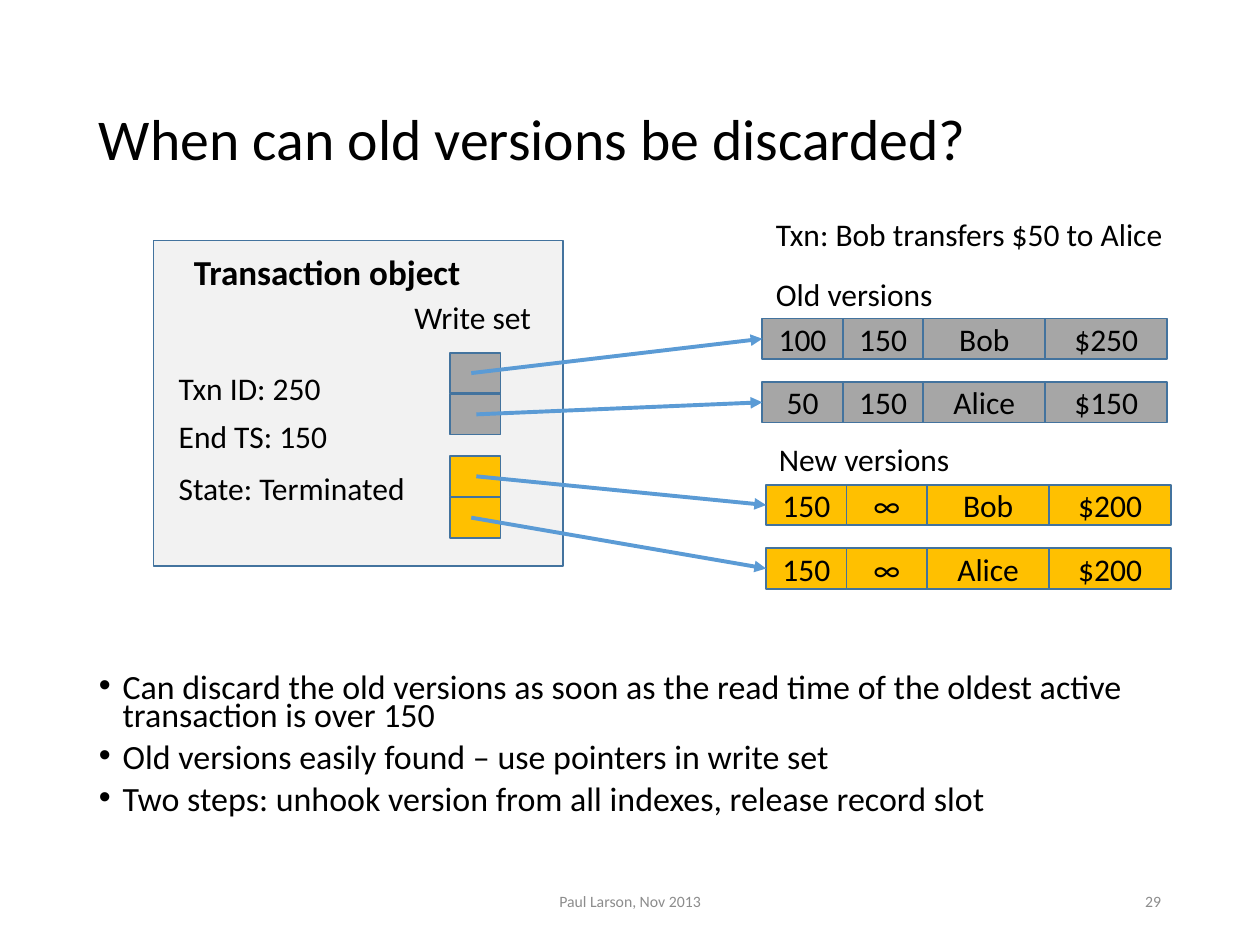
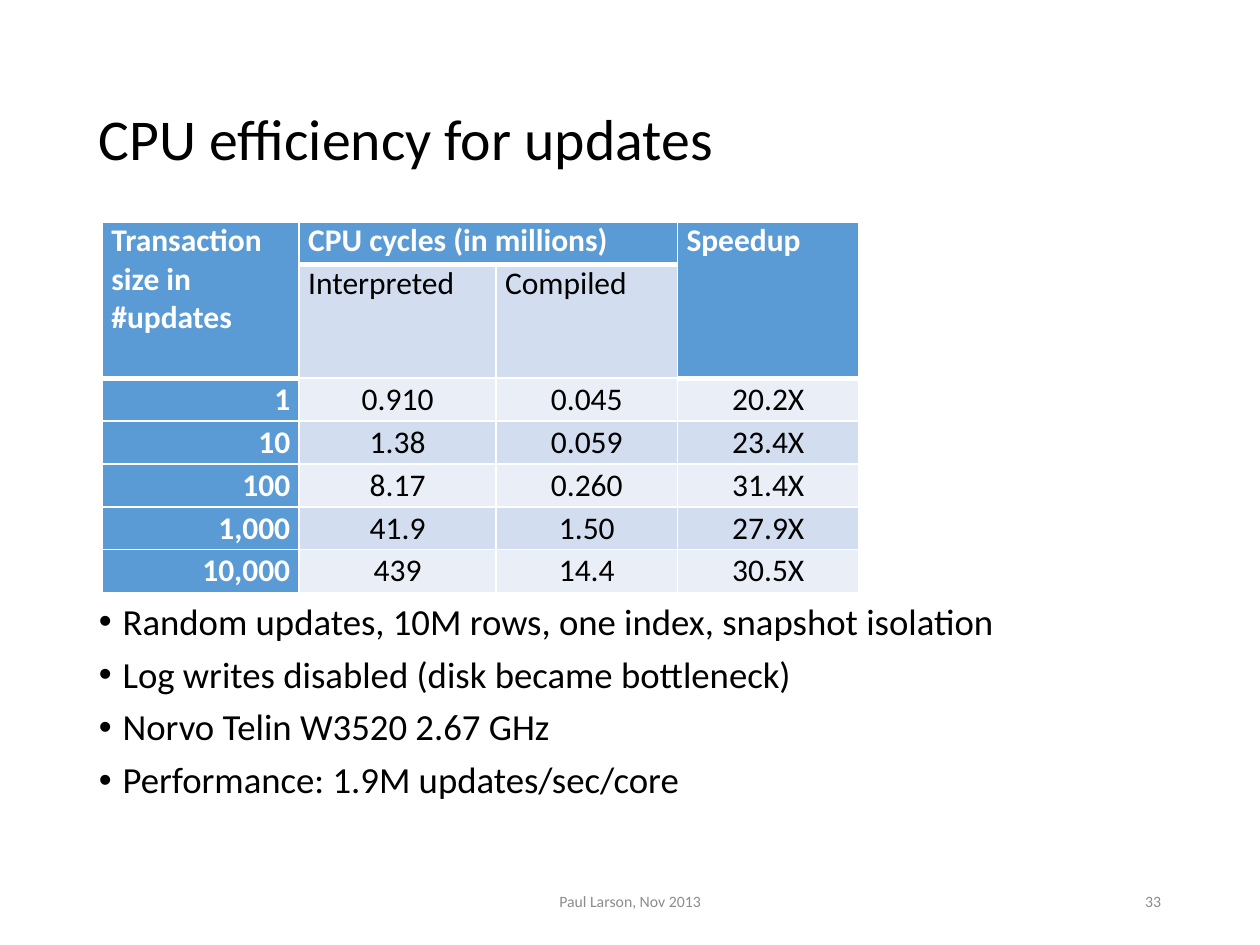
from dataclasses import dataclass

from lxml import etree
from pptx import Presentation
from pptx.dml.color import RGBColor
from pptx.enum.shapes import MSO_CONNECTOR, MSO_SHAPE
from pptx.enum.text import MSO_ANCHOR, MSO_AUTO_SIZE, PP_ALIGN
from pptx.oxml.ns import qn
from pptx.util import Pt

RECTANGLE, STRAIGHT = MSO_SHAPE.RECTANGLE, MSO_CONNECTOR.STRAIGHT
TOP, MIDDLE = MSO_ANCHOR.TOP, MSO_ANCHOR.MIDDLE
LEFT, CENTER = PP_ALIGN.LEFT, PP_ALIGN.CENTER
RIGHT, JUSTIFY = PP_ALIGN.RIGHT, PP_ALIGN.JUSTIFY
FIT_TEXT = MSO_AUTO_SIZE.SHAPE_TO_FIT_TEXT

BLACK = RGBColor(0x00, 0x00, 0x00)
WHITE = RGBColor(0xFF, 0xFF, 0xFF)
FOOTER_GRAY = RGBColor(0x8C, 0x8C, 0x8C)
PANEL_GRAY = RGBColor(0xF2, 0xF2, 0xF2)
OLD_GRAY = RGBColor(0xA6, 0xA6, 0xA6)
NEW_GOLD = RGBColor(0xFF, 0xC0, 0x00)
OUTLINE_BLUE = RGBColor(0x43, 0x73, 0x9E)
ACCENT_BLUE = RGBColor(0x5B, 0x9B, 0xD5)
BAND_DARK = RGBColor(0xD2, 0xDE, 0xEF)
BAND_LIGHT = RGBColor(0xEA, 0xEF, 0xF7)

FONT = "Calibri"
MARGIN, CONTENT_WIDTH = 49.5, 621
FOOTER_TOP, FOOTER_HEIGHT = 500.5, 28.75
LABEL_HEIGHT = 29
RECORD_HEIGHT, RECORD_PITCH = 23.2, 36.3
RECORD_WIDTHS = (46, 46, 69.7, 69.7)
SLOT_LEFT, SLOT_WIDTH, SLOT_PITCH = 257, 29, 23.6


@dataclass(frozen=True)
class Box:
    left: float
    top: float
    width: float
    height: float

    def lengths(self) -> tuple:
        return Pt(self.left), Pt(self.top), Pt(self.width), Pt(self.height)


@dataclass(frozen=True)
class TextStyle:
    size: float = 18
    color: RGBColor = BLACK
    bold: bool = False
    align: PP_ALIGN = LEFT


@dataclass(frozen=True)
class Label:
    text: str
    left: float
    top: float
    width: float
    style: TextStyle = TextStyle()


@dataclass(frozen=True)
class Version:
    values: tuple[str, ...]
    arrow_left: float


@dataclass(frozen=True)
class VersionSet:
    left: float
    top: float
    slot_top: float
    fill: RGBColor
    versions: tuple[Version, ...]


TITLE_STYLE = TextStyle(33)
FOOTER_STYLE = TextStyle(9, FOOTER_GRAY, align=CENTER)
NUMBER_STYLE = TextStyle(9, FOOTER_GRAY, align=RIGHT)
FIELD_STYLE = TextStyle(align=CENTER)
ROW_HEAD_STYLE = TextStyle(color=WHITE, bold=True, align=RIGHT)
COLUMN_HEAD_STYLE = TextStyle(color=WHITE, bold=True, align=JUSTIFY)
CORNER_STYLE = TextStyle(color=WHITE, bold=True)
SUBHEAD_STYLE = TextStyle(align=JUSTIFY)

LABELS = (
    Label("Txn: Bob transfers $50 to Alice", 436.3, 119.5, 241),
    Label("Old versions", 436.3, 153.5, 183),
    Label("New versions", 438, 247.7, 183),
    Label("Write set", 229.7, 167, 93),
    Label("Txn ID: 250", 95, 207.4, 106.5),
    Label("End TS: 150", 95, 234.7, 106.5),
    Label("State: Terminated", 95, 264.2, 152),
    Label("Transaction object", 103.7, 139.7, 201, TextStyle(20, bold=True)),
)

VERSION_SETS = (
    VersionSet(435.6, 182, 201.6, OLD_GRAY, (
        Version(("100", "150", "Bob", "$250"), 269.3),
        Version(("50", "150", "Alice", "$150"), 272.2),
    )),
    VersionSet(437.8, 277, 260.6, NEW_GOLD, (
        Version(("150", "∞", "Bob", "$200"), 272.2),
        Version(("150", "∞", "Alice", "$200"), 269.3),
    )),
)

CYCLES_ROWS = (
    ("Transaction size in #updates", "CPU cycles (in millions)", "", "Speedup"),
    ("", "Interpreted", "Compiled", ""),
    ("1", "0.910", "0.045", "20.2X"),
    ("10", "1.38", "0.059", "23.4X"),
    ("100", "8.17", "0.260", "31.4X"),
    ("1,000", "41.9", "1.50", "27.9X"),
    ("10,000", "439", "14.4", "30.5X"),
)
COLUMN_WIDTHS = (112.5, 112.5, 103.7, 103.7)
ROW_HEIGHT = 24.5


def style_paragraph(paragraph, style: TextStyle) -> None:
    paragraph.alignment = style.align
    font = paragraph.font
    font.name = FONT
    font.size = Pt(style.size)
    font.bold = style.bold
    font.color.rgb = style.color


def add_text(slide, box: Box, text: str, style: TextStyle, anchor=TOP):
    frame = slide.shapes.add_textbox(*box.lengths()).text_frame
    frame.word_wrap = True
    frame.vertical_anchor = anchor
    paragraph = frame.paragraphs[0]
    paragraph.text = text
    style_paragraph(paragraph, style)
    return frame


def add_bullets(slide, box: Box, lines: tuple[str, ...], size: float, spacing: float) -> None:
    frame = slide.shapes.add_textbox(*box.lengths()).text_frame
    frame.word_wrap = True
    for index, line in enumerate(lines):
        paragraph = frame.add_paragraph() if index else frame.paragraphs[0]
        paragraph.text = line
        properties = paragraph._p.get_or_add_pPr()
        properties.set("marL", str(Pt(13.5)))
        properties.set("indent", str(-Pt(13.5)))
        etree.SubElement(properties, qn("a:buFont"), typeface="Arial")
        etree.SubElement(properties, qn("a:buChar"), char="•")
        paragraph.line_spacing = spacing
        if index:
            paragraph.space_before = Pt(7.5)
        style_paragraph(paragraph, TextStyle(size))


def add_rectangle(shapes, box: Box, fill: RGBColor, text: str = ""):
    shape = shapes.add_shape(RECTANGLE, *box.lengths())
    shape.shadow.inherit = False
    shape.fill.solid()
    shape.fill.fore_color.rgb = fill
    shape.line.color.rgb = OUTLINE_BLUE
    shape.line.width = Pt(1)
    if text:
        shape.text_frame.vertical_anchor = MIDDLE
        paragraph = shape.text_frame.paragraphs[0]
        paragraph.text = text
        style_paragraph(paragraph, FIELD_STYLE)
    return shape


def add_record(slide, left: float, top: float, fill: RGBColor, values: tuple[str, ...]):
    """Draw one version as a group of fields and return its first field."""
    group = slide.shapes.add_group_shape()
    fields = []
    for value, width in zip(values, RECORD_WIDTHS):
        fields.append(add_rectangle(group.shapes, Box(left, top, width, RECORD_HEIGHT), fill, value))
        left += width
    return fields[0]


def add_pointer(slide, left: float, top: float, target) -> None:
    """Draw an arrow from a point to the left side of the target."""
    arrow = slide.shapes.add_connector(STRAIGHT, Pt(left), Pt(top), target.left, target.top)
    arrow.end_connect(target, 1)
    arrow.line.color.rgb = ACCENT_BLUE
    arrow.line.width = Pt(2.25)
    etree.SubElement(arrow.line._get_or_add_ln(), qn("a:tailEnd"), type="triangle")
    etree.SubElement(arrow._element.spPr, qn("a:effectLst"))


def add_base_slide(presentation, title: str, number: int):
    slide = presentation.slides.add_slide(presentation.slide_layouts[6])
    frame = add_text(slide, Box(MARGIN, 28.75, CONTENT_WIDTH, 104.4), title, TITLE_STYLE, MIDDLE)
    frame.paragraphs[0].line_spacing = 0.9
    add_text(slide, Box(238.5, FOOTER_TOP, 243, FOOTER_HEIGHT),
             "Paul Larson, Nov 2013", FOOTER_STYLE, MIDDLE)
    add_text(slide, Box(508.5, FOOTER_TOP, 162, FOOTER_HEIGHT), str(number), NUMBER_STYLE, MIDDLE)
    return slide


def add_versions_slide(presentation) -> None:
    slide = add_base_slide(presentation, "When can old versions be discarded?", 29)
    add_rectangle(slide.shapes, Box(87.8, 137.5, 234, 186), PANEL_GRAY)
    add_bullets(slide, Box(MARGIN, 383, CONTENT_WIDTH, 89.3), (
        "Can discard the old versions as soon as the read time of the oldest active "
        "transaction is over 150",
        "Old versions easily found – use pointers in write set",
        "Two steps: unhook version from all indexes, release record slot",
    ), 19.4, 0.7)
    for versions in VERSION_SETS:
        for index, version in enumerate(versions.versions):
            slot_top = versions.slot_top + index * SLOT_PITCH
            add_rectangle(slide.shapes, Box(SLOT_LEFT, slot_top, SLOT_WIDTH, RECORD_HEIGHT),
                          versions.fill)
            first_field = add_record(slide, versions.left, versions.top + index * RECORD_PITCH,
                                     versions.fill, version.values)
            add_pointer(slide, version.arrow_left, slot_top + RECORD_HEIGHT / 2, first_field)
    for label in LABELS:
        frame = add_text(slide, Box(label.left, label.top, label.width, LABEL_HEIGHT),
                         label.text, label.style)
        frame.auto_size = FIT_TEXT


def cell_look(row: int, column: int) -> tuple[TextStyle, RGBColor]:
    if row < 2:
        if row == 1 and column in (1, 2):
            return SUBHEAD_STYLE, BAND_DARK
        return (COLUMN_HEAD_STYLE if column else CORNER_STYLE), ACCENT_BLUE
    if column == 0:
        return ROW_HEAD_STYLE, ACCENT_BLUE
    return FIELD_STYLE, BAND_DARK if row % 2 else BAND_LIGHT


def set_borders(cell, bottom_width: float) -> None:
    properties = cell._tc.get_or_add_tcPr()
    for side, width in (("L", 1), ("R", 1), ("T", 1), ("B", bottom_width)):
        line = etree.SubElement(properties, qn(f"a:ln{side}"), w=str(Pt(width)))
        fill = etree.SubElement(line, qn("a:solidFill"))
        etree.SubElement(fill, qn("a:srgbClr"), val=str(WHITE))


def add_cycles_table(slide) -> None:
    box = Box(58.5, 126.8, sum(COLUMN_WIDTHS), ROW_HEIGHT * (len(CYCLES_ROWS) + 1))
    table = slide.shapes.add_table(len(CYCLES_ROWS), len(COLUMN_WIDTHS), *box.lengths()).table
    table.first_col = True
    table.horz_banding = False
    for column, width in zip(table.columns, COLUMN_WIDTHS):
        column.width = Pt(width)
    for index, row in enumerate(table.rows):
        row.height = Pt(ROW_HEIGHT * (2 if index == 1 else 1))
    for row, values in enumerate(CYCLES_ROWS):
        for column, value in enumerate(values):
            style, fill = cell_look(row, column)
            cell = table.cell(row, column)
            cell.margin_left = cell.margin_right = Pt(5.15)
            cell.margin_top = cell.margin_bottom = 0
            cell.vertical_anchor = TOP if row < 2 else MIDDLE
            set_borders(cell, 3 if row < 2 and fill == ACCENT_BLUE else 1)
            cell.fill.solid()
            cell.fill.fore_color.rgb = fill
            paragraph = cell.text_frame.paragraphs[0]
            paragraph.text = value
            paragraph.space_after = Pt(4)
            style_paragraph(paragraph, style)
    for first, last in (((0, 0), (1, 0)), ((0, 1), (0, 2)), ((0, 3), (1, 3))):
        table.cell(*first).merge(table.cell(*last))


def add_efficiency_slide(presentation) -> None:
    slide = add_base_slide(presentation, "CPU efficiency for updates", 33)
    add_bullets(slide, Box(MARGIN, 341.3, CONTENT_WIDTH, 145.4), (
        "Random updates, 10M rows, one index, snapshot isolation",
        "Log writes disabled (disk became bottleneck)",
        "Norvo Telin W3520 2.67 GHz",
        "Performance: 1.9M updates/sec/core",
    ), 21, 0.9)
    add_cycles_table(slide)


def main() -> None:
    presentation = Presentation()
    presentation.slide_width, presentation.slide_height = Pt(720), Pt(540)
    add_versions_slide(presentation)
    add_efficiency_slide(presentation)
    presentation.save("out.pptx")


if __name__ == "__main__":
    main()
